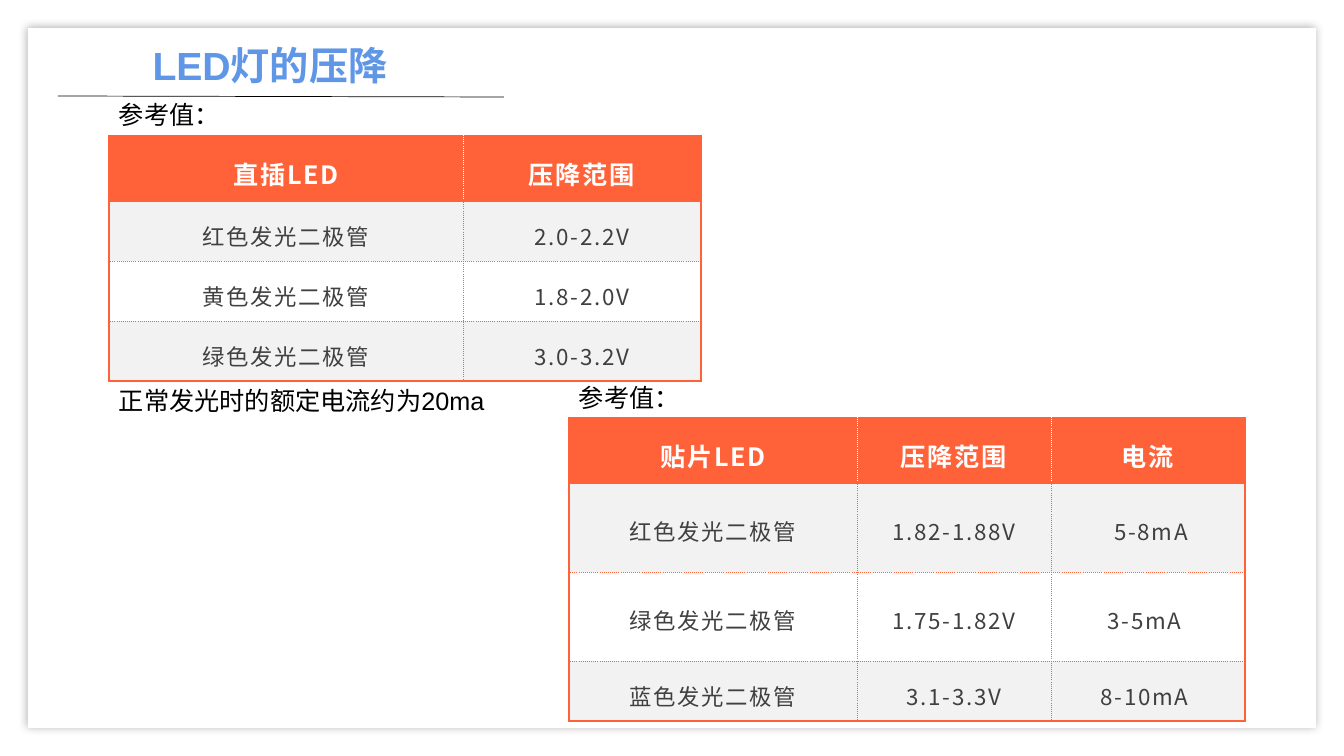
from lxml.etree import SubElement
from pptx import Presentation
from pptx.dml.color import RGBColor
from pptx.enum.shapes import MSO_CONNECTOR as Connector, MSO_SHAPE as Shape
from pptx.enum.text import MSO_ANCHOR as Anchor, MSO_AUTO_SIZE as AutoSize, PP_ALIGN as Align
from pptx.oxml.ns import qn
from pptx.util import Emu, Pt

SLIDE_W, SLIDE_H = 1344, 756
PX = 12192000 / SLIDE_W
ORANGE, WHITE, BAND, BLACK = "FF6238", "FFFFFF", "F2F2F2", "000000"
CJK = "Noto Sans CJK SC"
EDGE = (ORANGE, 1.5, "solid")
INNER = (ORANGE, 0.25, "dot")
HEADER_INNER = (WHITE, 0.25, "dot")


def px(*lengths):
    return [Emu(round(n * PX)) for n in lengths]


def rgb(value):
    return RGBColor.from_string(value)


def write(frame, text, size=18, color=BLACK, font="Arial", bold=False,
          align=Align.LEFT, line=None, tracking=0):
    paragraph = frame.paragraphs[0]
    paragraph.alignment = align
    paragraph.line_spacing = line
    run = paragraph.add_run()
    run.text = text
    run.font.name, run.font.size, run.font.bold = font, Pt(size), bold
    run.font.color.rgb = rgb(color)
    props = run._r.get_or_add_rPr()
    if tracking:
        props.set("spc", str(round(tracking * 100)))
    SubElement(props, qn("a:ea"), typeface=CJK)


def draw_border(cell, side, color, width, dash):
    border = SubElement(cell._tc.get_or_add_tcPr(), qn(f"a:ln{side}"), w=str(Pt(width)))
    fill = SubElement(border, qn("a:solidFill"))
    SubElement(fill, qn("a:srgbClr"), val=color)
    SubElement(border, qn("a:prstDash"), val=dash)


class SlideBuilder:
    def __init__(self, slide):
        self.shapes = slide.shapes

    def panel(self, x, y, w, h):
        panel = self.shapes.add_shape(Shape.RECTANGLE, *px(x, y, w, h))
        panel.shadow.inherit = False
        panel.fill.solid()
        panel.fill.fore_color.rgb = rgb(WHITE)
        panel.line.fill.background()
        # Soft glow around the panel
        effects = panel._element.spPr.find(qn("a:effectLst"))
        glow = SubElement(effects, qn("a:outerShdw"), blurRad=str(Pt(6)), dist="0",
                          dir="0", algn="ctr", rotWithShape="0")
        tint = SubElement(glow, qn("a:srgbClr"), val="404040")
        SubElement(tint, qn("a:alpha"), val="41000")

    def rule(self, x1, y1, x2, y2):
        rule = self.shapes.add_connector(Connector.STRAIGHT, *px(x1, y1, x2, y2))
        rule.line.color.rgb = rgb(BLACK)
        rule.line.width = Pt(0.5)
        SubElement(rule._element.spPr, qn("a:effectLst"))

    def text(self, x, y, w, h, text, **style):
        frame = self.shapes.add_textbox(*px(x, y, w, h)).text_frame
        frame.word_wrap = True
        frame.auto_size = AutoSize.SHAPE_TO_FIT_TEXT
        write(frame, text, **style)

    def table(self, x, y, widths, heights, rows):
        table = self.shapes.add_table(len(rows), len(widths),
                                      *px(x, y, sum(widths), sum(heights))).table
        table.first_row = table.horz_banding = False
        for column, width in zip(table.columns, px(*widths)):
            column.width = width
        for row, height in zip(table.rows, px(*heights)):
            row.height = height
        for r, values in enumerate(rows):
            for c, value in enumerate(values):
                self.cell(table.cell(r, c), value, r, c, len(rows) - 1, len(widths) - 1)

    def cell(self, cell, value, r, c, last_row, last_col):
        header = r == 0
        divider = HEADER_INNER if header else INNER
        draw_border(cell, "L", *(EDGE if c == 0 else divider))
        draw_border(cell, "R", *(EDGE if c == last_col else divider))
        draw_border(cell, "T", *(EDGE if r <= 1 else INNER))
        draw_border(cell, "B", *(EDGE if r in (0, last_row) else INNER))
        cell.fill.solid()
        cell.fill.fore_color.rgb = rgb(ORANGE if header else BAND if r % 2 else WHITE)
        cell.vertical_anchor = Anchor.MIDDLE
        cell.margin_left, cell.margin_right, cell.margin_top, cell.margin_bottom = px(19, 19, 12, 12)
        style = (dict(size=18, color=WHITE, bold=True, tracking=1.3) if header
                 else dict(size=16, color="404040", tracking=1.2))
        write(cell.text_frame, value, font=CJK, align=Align.CENTER, line=1.2, **style)


def main():
    deck = Presentation()
    deck.slide_width, deck.slide_height = px(SLIDE_W, SLIDE_H)
    page = SlideBuilder(deck.slides.add_slide(deck.slide_layouts[6]))

    # Background panel and heading
    page.panel(28, 28, 1288, 700)
    page.rule(58, 96, 504, 97)
    page.text(123, 36, 294, 57, "LED灯的压降", size=28, color="6096E6", bold=True,
              align=Align.CENTER)

    # Through-hole LEDs
    page.table(109, 136, [354, 238], [65, 60, 60, 60], [
        ["直插LED", "压降范围"],
        ["红色发光二极管", "2.0-2.2V"],
        ["黄色发光二极管", "1.8-2.0V"],
        ["绿色发光二极管", "3.0-3.2V"],
    ])
    page.text(109, 380, 386, 40, "正常发光时的额定电流约为20ma")

    # Surface-mount LEDs
    page.table(569, 418, [288, 194, 194], [65, 89, 89, 60], [
        ["贴片LED", "压降范围", "电流"],
        ["红色发光二极管", "1.82-1.88V", " 5-8mA"],
        ["绿色发光二极管", "1.75-1.82V", "3-5mA "],
        ["蓝色发光二极管", "3.1-3.3V", "8-10mA "],
    ])

    # Table captions
    for x, y in ((569, 377), (109, 94)):
        page.text(x, y, 121, 40, "参考值：")

    deck.save("out.pptx")


if __name__ == "__main__":
    main()
